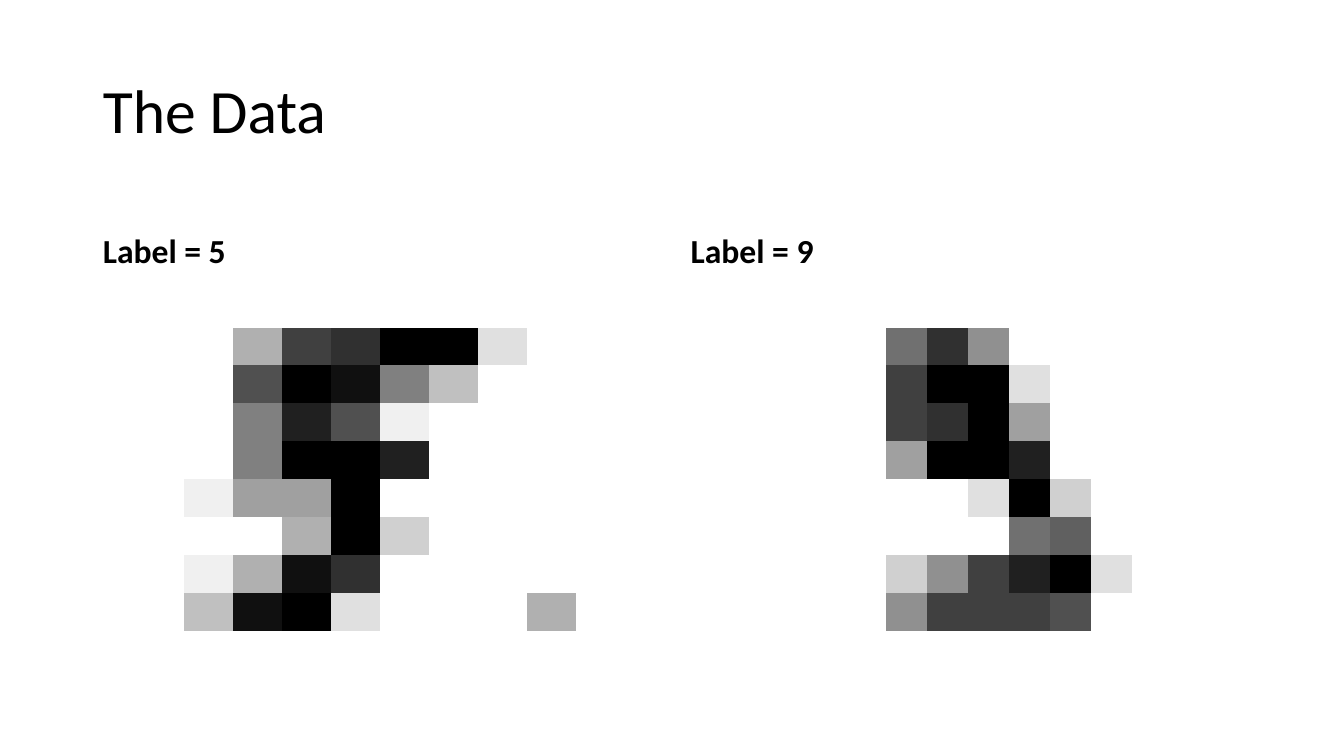
"""Build a slide showing two labelled 8 by 8 digit samples as shaded grids."""
from pptx import Presentation, util as u
from pptx.dml.color import RGBColor
from pptx.enum import text

BLACK = RGBColor(0, 0, 0)
FONT = "Calibri"
NO_GRID_STYLE = "{2D5ABB26-0587-4C30-8999-92F81FD0307C}"
TITLE = "The Data"
INK_LEVELS = 16
SAMPLES = [
    {
        "label": "Label = 5", "label_left": 0.92, "label_width": 5.64,
        "grid_left": 1.82, "grid_width": 3.89,
        "ink": [
            (0, 5, 12, 13, 16, 16, 2, 0),
            (0, 11, 16, 15, 8, 4, 0, 0),
            (0, 8, 14, 11, 1, 0, 0, 0),
            (0, 8, 16, 16, 14, 0, 0, 0),
            (1, 6, 6, 16, 0, 0, 0, 0),
            (0, 0, 5, 16, 3, 0, 0, 0),
            (1, 5, 15, 13, 0, 0, 0, 0),
            (4, 15, 16, 2, 0, 0, 0, 5),
        ],
    },
    {
        "label": "Label = 9", "label_left": 6.75, "label_width": 5.67,
        "grid_left": 7.98, "grid_width": 3.25,
        "ink": [
            (0, 0, 9, 13, 7, 0, 0, 0),
            (0, 0, 12, 16, 16, 2, 0, 0),
            (0, 0, 12, 13, 16, 6, 0, 0),
            (0, 0, 6, 16, 16, 14, 0, 0),
            (0, 0, 0, 0, 2, 16, 3, 0),
            (0, 0, 0, 0, 0, 9, 10, 0),
            (0, 0, 3, 7, 12, 14, 16, 2),
            (0, 0, 7, 12, 12, 12, 11, 0),
        ],
    },
]
LABEL_TOP, LABEL_HEIGHT = 1.84, 0.9
GRID_TOP, GRID_HEIGHT = 3.25, 3.01


def fill_placeholder(box, words, *, at, size, anchor, bold=False, before=0):
    """Place a placeholder and set its formatted text."""
    box.left, box.top, box.width, box.height = map(u.Inches, at)
    frame = box.text_frame
    frame.word_wrap = True
    frame.auto_size = text.MSO_AUTO_SIZE.NONE
    frame.vertical_anchor = anchor
    para = frame.paragraphs[0]
    para.alignment = text.PP_ALIGN.LEFT
    para.line_spacing = 0.9
    para.space_before = u.Pt(before)
    span = para.add_run()
    span.text = words
    span.font.name, span.font.size, span.font.bold = FONT, u.Pt(size), bold
    span.font.color.rgb = BLACK


def shade(ink):
    """Return the grey for an ink level, from white at zero to black."""
    level = min(255, 256 - 256 * ink // INK_LEVELS)
    return RGBColor(level, level, level)


def add_grid(page, ink, left, width):
    """Add a borderless table with one shaded cell per value."""
    frame = page.shapes.add_table(
        len(ink), len(ink[0]), u.Inches(left), u.Inches(GRID_TOP),
        u.Inches(width), u.Inches(GRID_HEIGHT))
    table = frame.table
    table.first_row = table.horz_banding = False
    table._tbl.tblPr[0].text = NO_GRID_STYLE
    for row, values in zip(table.rows, ink):
        for cell, value in zip(row.cells, values):
            cell.margin_left = cell.margin_right = 0
            cell.margin_top = cell.margin_bottom = 0
            cell.fill.solid()
            cell.fill.fore_color.rgb = shade(value)


deck = Presentation()
deck.slide_width, deck.slide_height = u.Inches(13.33), u.Inches(7.5)
page = deck.slides.add_slide(deck.slide_layouts.get_by_name("Comparison"))
title, left_label, left_body, right_label, right_body = page.placeholders

fill_placeholder(title, TITLE, at=(0.92, 0.4, 11.5, 1.45), size=44,
                 anchor=text.MSO_ANCHOR.MIDDLE)
for body in (left_body, right_body):
    body.element.getparent().remove(body.element)
for box, sample in zip((left_label, right_label), SAMPLES):
    fill_placeholder(
        box, sample["label"], size=24, bold=True, before=10,
        anchor=text.MSO_ANCHOR.BOTTOM,
        at=(sample["label_left"], LABEL_TOP, sample["label_width"], LABEL_HEIGHT))
    add_grid(page, sample["ink"], sample["grid_left"], sample["grid_width"])

deck.save("out.pptx")
